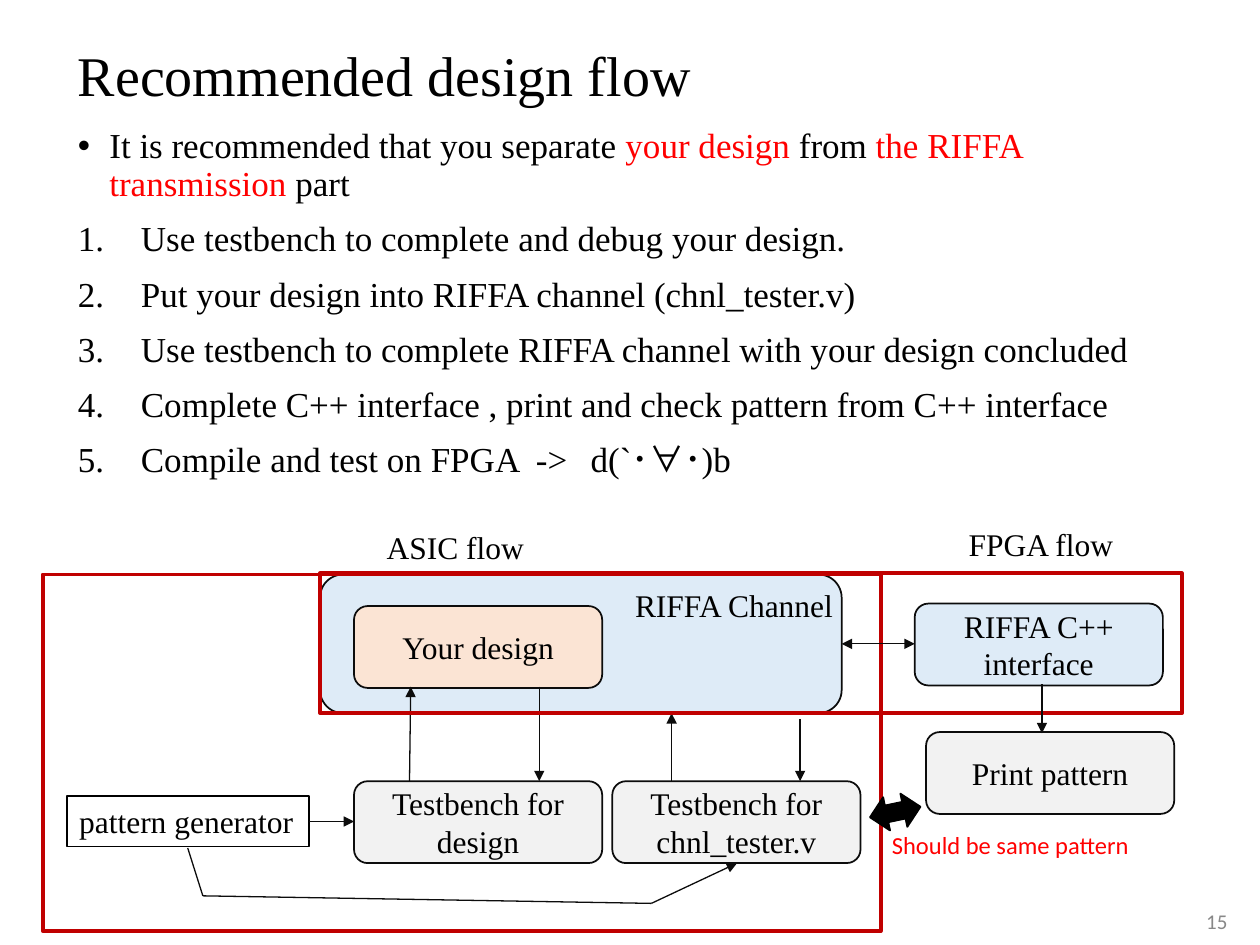
from dataclasses import dataclass

from lxml.etree import SubElement
from pptx import Presentation
from pptx.dml.color import RGBColor
from pptx.enum.shapes import MSO_CONNECTOR, MSO_SHAPE
from pptx.enum.text import MSO_ANCHOR, PP_ALIGN
from pptx.oxml.ns import qn
from pptx.util import Inches, Pt


@dataclass(frozen=True)
class Theme:
    serif: str = "Times New Roman"
    sans: str = "Calibri"
    black: str = "000000"
    outline: str = "0C0C0C"
    red: str = "FF0000"
    frame: str = "C00000"
    channel: str = "DEEBF7"
    design: str = "FBE4D4"
    bench: str = "F2F2F2"
    muted: str = "888888"
    title: int = 32
    body: int = 20
    label: int = 18
    note: int = 14
    page: int = 12


@dataclass(frozen=True)
class Box:
    left: float
    top: float
    width: float
    height: float

    def inside(self, left, top, width, height):
        return Box(self.left + left, self.top + top, width, height)

    def point(self, column, row):
        return grid(self.left + column), grid(self.top + row)

    def lengths(self):
        return [grid(value) for value in (self.left, self.top, self.width, self.height)]


THEME = Theme()
SLIDE_WIDTH = 10
SLIDE_HEIGHT = 7.5
COLUMNS = 100
NODE_SIZE = (19.7, 6.5)
LABEL_HEIGHT = 4
STEPS = (
    "Use testbench to complete and debug your design.",
    "Put your design into RIFFA channel (chnl_tester.v)",
    "Use testbench to complete RIFFA channel with your design concluded",
    "Complete C++ interface , print and check pattern from C++ interface",
    "Compile and test on FPGA  ->\t d(`･∀･)b",
)


def grid(units):
    return Inches(round(units * SLIDE_WIDTH / COLUMNS, 2))


def apply_format(target, values):
    for name, value in values.items():
        setattr(target, name, value)


def add_run(paragraph, text, size, color=THEME.black, font=THEME.serif):
    run = paragraph.add_run()
    run.text = text
    apply_format(run.font, {"name": font, "size": Pt(size)})
    run.font.color.rgb = RGBColor.from_string(color)


def write_text(shape, text, size, align=PP_ALIGN.LEFT, anchor=MSO_ANCHOR.TOP, **style):
    frame = shape.text_frame
    apply_format(frame, {"word_wrap": True, "vertical_anchor": anchor})
    for index, line in enumerate(text.split("\n")):
        paragraph = frame.add_paragraph() if index else frame.paragraphs[0]
        paragraph.alignment = align
        add_run(paragraph, line, size, **style)
    return frame


def add_label(slide, box, text, size=THEME.label, **style):
    return write_text(slide.shapes.add_textbox(*box.lengths()), text, size, **style)


def add_panel(slide, box, kind, fill=None, line=THEME.outline, weight=1):
    shape = slide.shapes.add_shape(kind, *box.lengths())
    shape.shadow.inherit = False
    if fill:
        shape.fill.solid()
        shape.fill.fore_color.rgb = RGBColor.from_string(fill)
    else:
        shape.fill.background()
    shape.line.color.rgb = RGBColor.from_string(line)
    shape.line.width = Pt(weight)
    return shape


def add_node(slide, box, text, fill):
    node = add_panel(slide, box, MSO_SHAPE.ROUNDED_RECTANGLE, fill)
    write_text(node, text, THEME.label, PP_ALIGN.CENTER, MSO_ANCHOR.MIDDLE)


def add_line(slide, box, start, end, ends=("tailEnd",)):
    connector = slide.shapes.add_connector(
        MSO_CONNECTOR.STRAIGHT, *box.point(*start), *box.point(*end)
    )
    connector.line.color.rgb = RGBColor.from_string(THEME.outline)
    connector.line.width = Pt(0.75)
    properties = connector._element.spPr
    outline = properties.find(qn("a:ln"))
    for name in ends:
        SubElement(outline, qn(f"a:{name}"), type="triangle")
    SubElement(properties, qn("a:effectLst"))


def add_bullet(paragraph, indent, tag, **attributes):
    properties = paragraph._p.get_or_add_pPr()
    properties.set("marL", str(Inches(indent)))
    properties.set("indent", str(Inches(-indent)))
    SubElement(properties, qn("a:buFont"), typeface="Arial" if tag == "buChar" else THEME.serif)
    SubElement(properties, qn(f"a:{tag}"), **attributes)


def add_title(slide, box):
    frame = add_label(
        slide, box, "Recommended design flow", THEME.title, anchor=MSO_ANCHOR.MIDDLE
    )
    frame.paragraphs[0].line_spacing = 0.9


def add_steps(slide, box):
    frame = slide.shapes.add_textbox(*box.lengths()).text_frame
    frame.word_wrap = True
    advice = frame.paragraphs[0]
    advice.line_spacing = 0.9
    for text, color in (
        ("It is recommended that you separate ", THEME.black),
        ("your design ", THEME.red),
        ("from", THEME.black),
        (" the RIFFA transmission", THEME.red),
        (" part", THEME.black),
    ):
        add_run(advice, text, THEME.body, color)
    add_bullet(advice, 0.25, "buChar", char="•")
    for text in STEPS:
        step = frame.add_paragraph()
        apply_format(step, {"line_spacing": 0.9, "space_before": Pt(10)})
        add_run(step, text, THEME.body)
        add_bullet(step, 0.5, "buAutoNum", type="arabicPeriod")


def add_asic_flow(slide, box):
    channel = box.inside(22, 0, 41.4, 11)
    add_panel(slide, channel, MSO_SHAPE.ROUNDED_RECTANGLE, THEME.channel)
    add_label(
        slide, box.inside(45.2, 0.4, 18.5, LABEL_HEIGHT), "RIFFA Channel", align=PP_ALIGN.RIGHT
    )
    for left, top, text, fill in (
        (24.7, 2.5, "Your design", THEME.design),
        (24.7, 16.4, "Testbench for\ndesign", THEME.bench),
        (45.2, 16.4, "Testbench for\nchnl_tester.v", THEME.bench),
    ):
        add_node(slide, box.inside(left, top, *NODE_SIZE), text, fill)
    generator = add_panel(
        slide, box.inside(1.9, 17.6, 19.2, LABEL_HEIGHT), MSO_SHAPE.RECTANGLE, line=THEME.black
    )
    write_text(generator, "pattern generator", THEME.label)
    for start, end in (
        ((21.1, 19.6), (24.7, 19.6)),
        ((29.1, 16.4), (29.2, 8.9)),
        ((39.4, 8.9), (39.4, 16.4)),
        ((49.9, 16.4), (49.9, 11)),
        ((60.1, 11.5), (60.1, 16.4)),
        ((48.3, 26.1), (55.1, 22.9)),
    ):
        add_line(slide, box, start, end)
    add_line(slide, box, (11.5, 21.7), (12.7, 25.5), ())
    add_line(slide, box, (12.7, 25.5), (48.3, 26.1), ())
    add_panel(slide, box, MSO_SHAPE.RECTANGLE, line=THEME.frame, weight=2.25)
    add_label(slide, box.inside(26.3, -4.2, 13, LABEL_HEIGHT), "ASIC flow")


def add_fpga_flow(slide, box):
    add_panel(slide, box, MSO_SHAPE.RECTANGLE, line=THEME.frame, weight=2.25)
    add_label(slide, box.inside(50.5, -4.3, 13.6, LABEL_HEIGHT), "FPGA flow")
    add_node(slide, box.inside(47.2, 2.4, *NODE_SIZE), "RIFFA C++ interface", THEME.channel)
    add_node(slide, box.inside(48.1, 12.6, *NODE_SIZE), "Print pattern", THEME.bench)
    add_line(slide, box, (41.4, 5.6), (47.2, 5.6), ("headEnd", "tailEnd"))
    add_line(slide, box, (57.3, 8.8), (57.3, 12.7))
    comparison = add_panel(
        slide, box.inside(43.6, 17.6, 4.1, 2.7), MSO_SHAPE.LEFT_RIGHT_ARROW, THEME.black, THEME.black
    )
    comparison.rotation = 348.2
    add_label(
        slide, box.inside(44.4, 19.9, 21, 3.4), "Should be same pattern",
        THEME.note, color=THEME.red, font=THEME.sans,
    )


def add_page_number(slide, box):
    add_label(
        slide, box, "15", THEME.page, align=PP_ALIGN.RIGHT, anchor=MSO_ANCHOR.MIDDLE,
        color=THEME.muted, font=THEME.sans,
    )


def main():
    presentation = Presentation()
    apply_format(
        presentation, {"slide_width": Inches(SLIDE_WIDTH), "slide_height": Inches(SLIDE_HEIGHT)}
    )
    slide = presentation.slides.add_slide(presentation.slide_layouts[6])
    add_title(slide, Box(5.2, 1.9, 90.3, 8.7))
    add_steps(slide, Box(5.2, 9.7, 90.3, 31.7))
    add_asic_flow(slide, Box(3.4, 45.6, 66.5, 28.3))
    add_fpga_flow(slide, Box(25.4, 45.5, 68.4, 11.1))
    add_page_number(slide, Box(75.9, 71.1, 22.5, 4))
    presentation.save("out.pptx")


if __name__ == "__main__":
    main()
